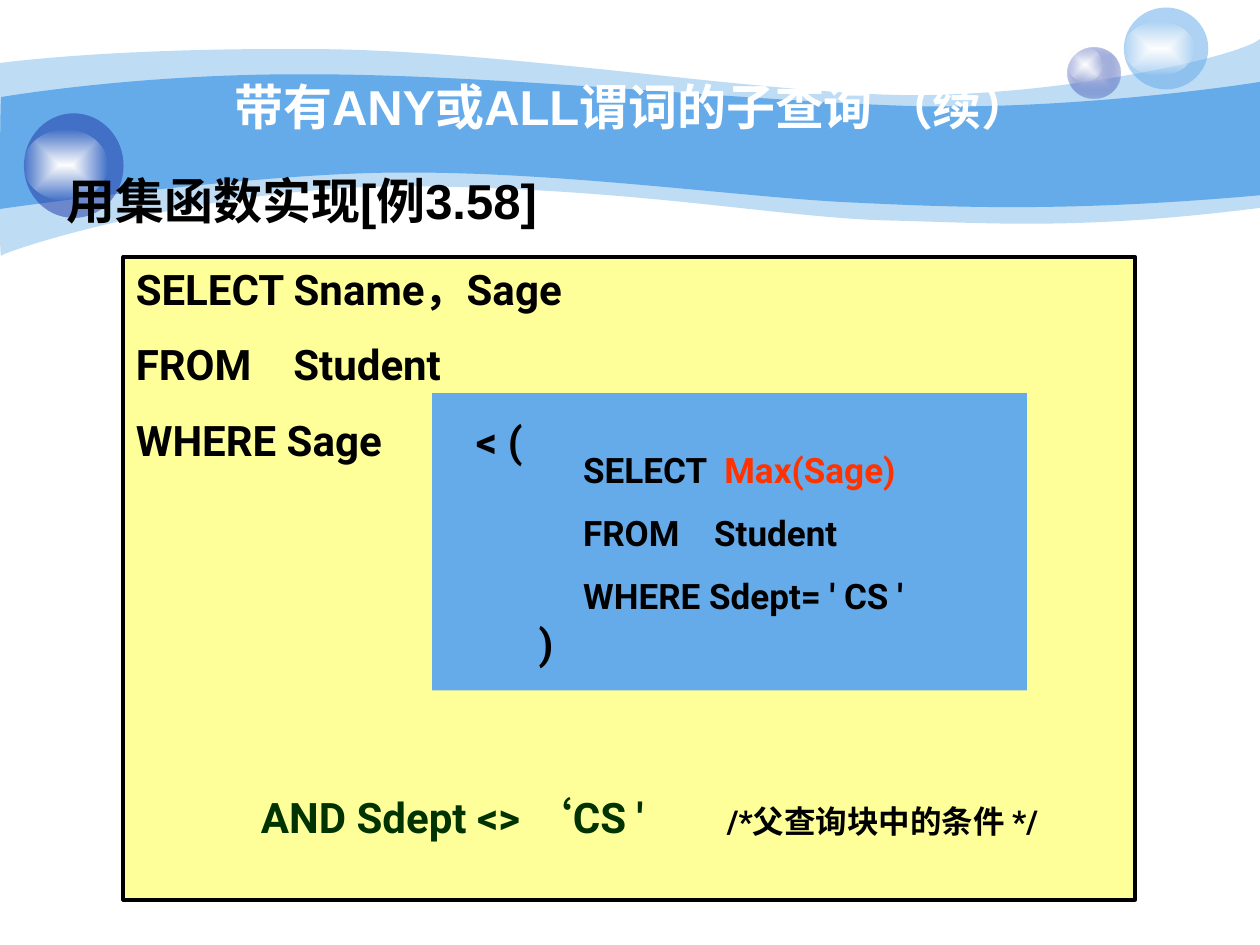
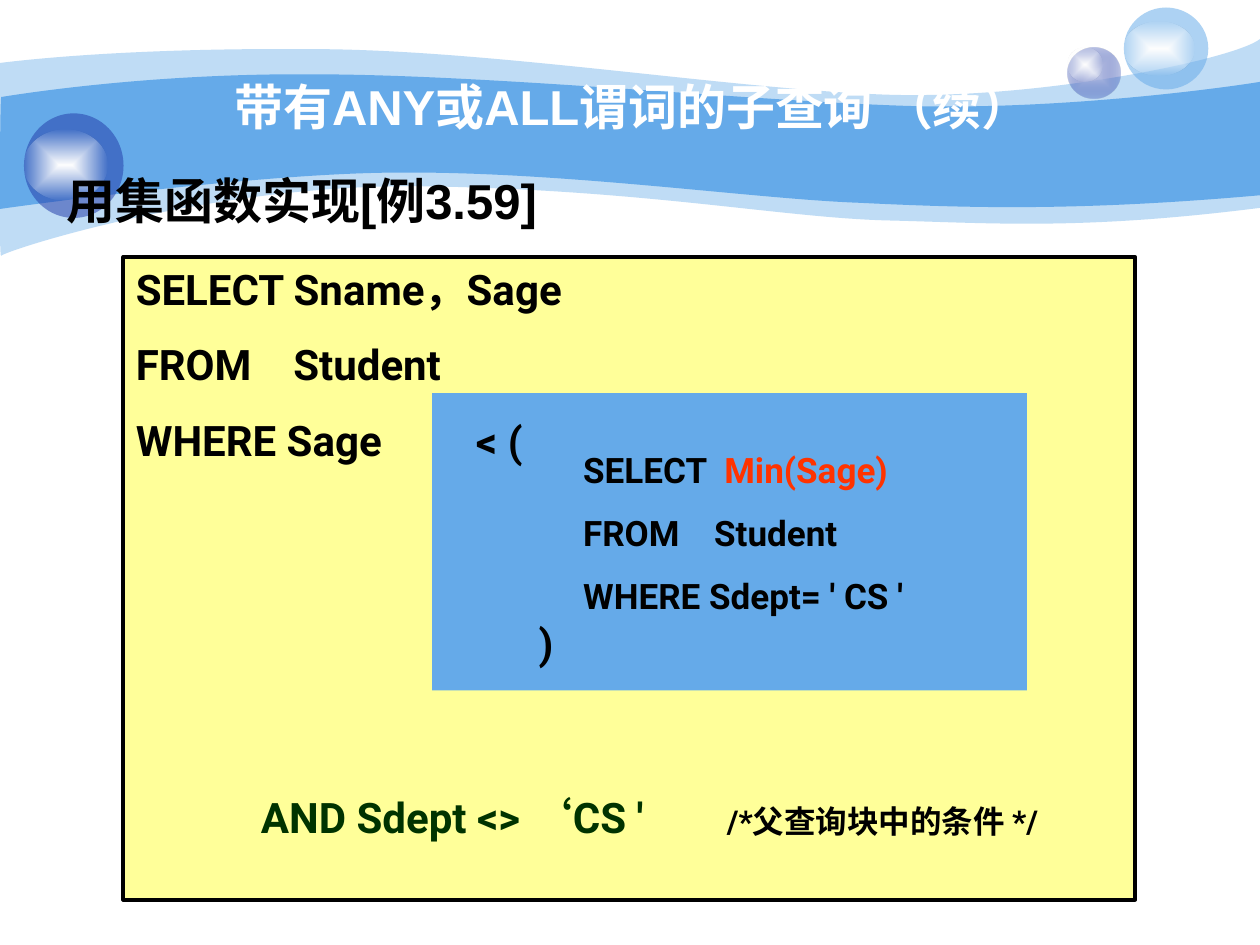
from lxml import etree
from pptx import Presentation
from pptx.dml.color import RGBColor
from pptx.enum.shapes import MSO_SHAPE as Shape
from pptx.enum.text import MSO_ANCHOR as Anchor, MSO_AUTO_SIZE as AutoSize, PP_ALIGN as Align
from pptx.oxml import parse_xml
from pptx.oxml.ns import nsdecls, qn
from pptx.util import Inches, Pt

BLUE = RGBColor(0x65, 0xAA, 0xE9)
NAVY = RGBColor(0x23, 0x3D, 0xA9)
LILAC = RGBColor(0xC7, 0xCE, 0xE9)
YELLOW = RGBColor(0xFF, 0xFF, 0x99)
WHITE = RGBColor(0xFF, 0xFF, 0xFF)
BLACK = RGBColor(0, 0, 0)
GREEN = RGBColor(0, 0x33, 0)
RED = RGBColor(0xFF, 0x33, 0)

CODE_FONT = "Roboto"
HEADING_FONT = "Arial"
TITLE = "带有ANY或ALL谓词的子查询 （续）"
CODE_LINE = 28.9  # height in points of one line of 24 pt code

# Upper and lower edge: a start point, then Bezier segments (two controls, one end).
PALE_WAVE = (
    [(0, 0.5), (0.24, 0.47), (1.07, 0.38), (2.47, 0.39), (3.86, 0.39), (5.75, 0.7),
     (6.99, 0.75), (8.22, 0.8), (9.8, 0.47), (10, 0.31)],
    [(10, 1.65), (8.58, 1.83), (7.87, 1.77), (7.05, 1.75), (6.22, 1.73), (5.15, 1.51),
     (3.43, 1.48), (1.72, 1.44), (0.04, 1.99), (0.01, 2.03), (-0.01, 2.08), (0, 0.75),
     (0, 0.5)])
DEEP_WAVE = (
    [(0.01, 0.77), (0.02, 0.77), (1.1, 0.58), (2.48, 0.59), (3.86, 0.59), (5.95, 0.8),
     (7.18, 0.84), (8.41, 0.88), (9.76, 0.69), (10, 0.65)],
    [(10, 1.55), (8.53, 1.68), (7.65, 1.65), (6.82, 1.61), (5.99, 1.58), (4.47, 1.36),
     (3.17, 1.37), (2.03, 1.37), (-0.02, 1.66), (-0.01, 1.66), (0, 1.66), (0, 0.77),
     (0.01, 0.77)])


def paint(shape, color, opacity=100, outline=None):
    shape.shadow.inherit = False
    shape.fill.solid()
    shape.fill.fore_color.rgb = color
    if opacity < 100:
        solid = shape.element.spPr.find(qn("a:solidFill"))
        etree.SubElement(solid[0], qn("a:alpha"), val=str(opacity * 1000))
    if outline is None:
        shape.line.fill.background()
    else:
        shape.line.color.rgb = outline
        shape.line.width = Pt(2.25)


def paint_glow(shape, center, rim, rim_opacity):
    """Fill with a gradient running from the middle out to the edges."""
    paint(shape, center)
    solid = shape.element.spPr.find(qn("a:solidFill"))
    gradient = parse_xml(
        f'<a:gradFill {nsdecls("a")} rotWithShape="1"><a:gsLst>'
        f'<a:gs pos="0"><a:srgbClr val="{center}"/></a:gs>'
        f'<a:gs pos="100000"><a:srgbClr val="{rim}"><a:alpha val="{rim_opacity * 1000}"/>'
        '</a:srgbClr></a:gs></a:gsLst><a:path path="rect">'
        '<a:fillToRect l="50000" t="50000" r="50000" b="50000"/></a:path></a:gradFill>')
    solid.getparent().replace(solid, gradient)


def bend(line, controls, shape):
    """Turn a straight outline segment into a Bezier curve with the same end."""
    curve = etree.Element(qn("a:cubicBezTo"))
    for x, y in controls:
        etree.SubElement(curve, qn("a:pt"), x=str(Inches(x) - shape.left),
                         y=str(Inches(y) - shape.top))
    curve.append(line[0])
    line.getparent().replace(line, curve)


def add_wave(page, edges, opacity=100):
    upper, lower = edges
    anchors = [(Inches(x), Inches(y)) for x, y in upper[::3] + lower[::3]]
    builder = page.shapes.build_freeform(*anchors[0])
    builder.add_line_segments(anchors[1:], close=True)
    wave = builder.convert_to_shape()
    lines = list(wave.element.iter(qn("a:lnTo")))
    del lines[len(upper) // 3]  # the side joining both edges stays straight
    controls = [edge[first:first + 2] for edge in edges for first in range(1, len(edge), 3)]
    for line, pair in zip(lines, controls):
        bend(line, pair, wave)
    paint(wave, BLUE, opacity)
    return wave


def add_shape(page, kind, place):
    return page.shapes.add_shape(kind, *map(Inches, place))


def add_bubble(page, place, shine_place, color, glow=None):
    bubble = add_shape(page, Shape.OVAL, place)
    if glow:
        paint_glow(bubble, glow, color, 31)
    else:
        paint(bubble, color, 53)
    shine = add_shape(page, Shape.OVAL, shine_place)
    paint_glow(shine, WHITE, WHITE, 0)
    return [bubble, shine]


def move_to_layout(shapes, layout):
    """Place shapes behind everything else on the layout."""
    tree = layout.element.cSld.spTree
    for number, shape in enumerate(shapes):
        shape.element.nvSpPr.cNvPr.id = 20 + number
        tree.insert(2 + number, shape.element)


def decorate(page):
    shapes = [add_wave(page, PALE_WAVE, 41), add_wave(page, DEEP_WAVE)]
    shapes += add_bubble(page, (8.47, 0.38, 0.42, 0.4), (8.47, 0.38, 0.28, 0.27), NAVY, LILAC)
    shapes += add_bubble(page, (8.92, 0.06, 0.67, 0.65), (8.92, 0.17, 0.56, 0.43), BLUE)
    shapes += add_bubble(page, (0.19, 0.9, 0.79, 0.83), (0.19, 1.03, 0.66, 0.56), NAVY)
    move_to_layout(shapes, page.slide_layout)


def write(box, lines, size=24, font=CODE_FONT, color=BLACK, align=Align.LEFT,
          anchor=Anchor.MIDDLE, spacing=1.0, gap=0, tabs=()):
    """Write lines of (text, format) spans, gap points apart; tabs has a stop per line."""
    frame = box.text_frame
    frame.word_wrap = True
    frame.auto_size = AutoSize.NONE
    frame.vertical_anchor = anchor
    for number, spans in enumerate(lines):
        para = frame.add_paragraph() if number else frame.paragraphs[0]
        para.alignment = align
        para.line_spacing = spacing
        para.space_before = Pt(gap if number else 0)
        if tabs:
            stops = etree.SubElement(para._p.get_or_add_pPr(), qn("a:tabLst"))
            etree.SubElement(stops, qn("a:tab"), pos=str(Inches(tabs[number])), algn="l")
        for text, look in spans:
            span = para.add_run()
            span.text = text
            span.font.name = font
            span.font.bold = True
            span.font.size = Pt(look.get("size", size))
            span.font.color.rgb = look.get("color", color)


def plain(*texts):
    return [[(text, {})] for text in texts]


def add_panel(page, place, fill, lines, outline=None, **text_format):
    panel = add_shape(page, Shape.RECTANGLE, place)
    paint(panel, fill, outline=outline)
    write(panel, lines, **text_format)


def add_title(page):
    title = page.shapes.title
    title.left, title.top, title.width, title.height = map(Inches, (0.98, 0.53, 8.08, 0.62))
    write(title, plain(TITLE), size=28, font=HEADING_FONT, color=WHITE, align=Align.CENTER)


def add_query_page(page, example, aggregate):
    add_panel(page, (0.98, 2.04, 8.03, 5.1), YELLOW,
              plain("SELECT Sname，Sage", "FROM\tStudent", "WHERE Sage"),
              outline=BLACK, anchor=Anchor.TOP, gap=CODE_LINE / 2, tabs=(1.25,) * 3)
    add_title(page)
    add_panel(page, (3.43, 3.12, 4.72, 2.36), BLUE, plain("   < (", "         )"),
              gap=3 * CODE_LINE)
    subquery = [[("SELECT\t", {}), (aggregate, {"color": RED})],
                *plain("FROM\tStudent", "WHERE Sdept= ' CS '")]
    add_panel(page, (4.53, 3.28, 3.39, 1.73), BLUE, subquery, size=20, spacing=1.5,
              tabs=(1.12, 1.04, 1.04))
    condition = [[("           AND Sdept <> ‘CS '\t", {"color": GREEN}),
                  ("/*父查询块中的条件 */", {"size": 18})]]
    add_panel(page, (1.06, 6.03, 7.48, 0.71), YELLOW, condition, spacing=1.5, tabs=(4.61,))
    heading = page.shapes.add_textbox(*map(Inches, (0.43, 1.07, 9, 0.87)))
    write(heading, plain(f"用集函数实现[例{example}]"), size=28, font=HEADING_FONT,
          anchor=Anchor.TOP, spacing=1.5)


def main():
    deck = Presentation()
    deck.slide_width, deck.slide_height = Inches(10), Inches(7.5)
    layout = deck.slide_layouts[5]
    queries = (("3.58", "Max(Sage)"), ("3.59", "Min(Sage)"))
    for number, (example, aggregate) in enumerate(queries):
        page = deck.slides.add_slide(layout)
        if number == 0:
            decorate(page)
        add_query_page(page, example, aggregate)
    deck.save("out.pptx")


if __name__ == "__main__":
    main()
